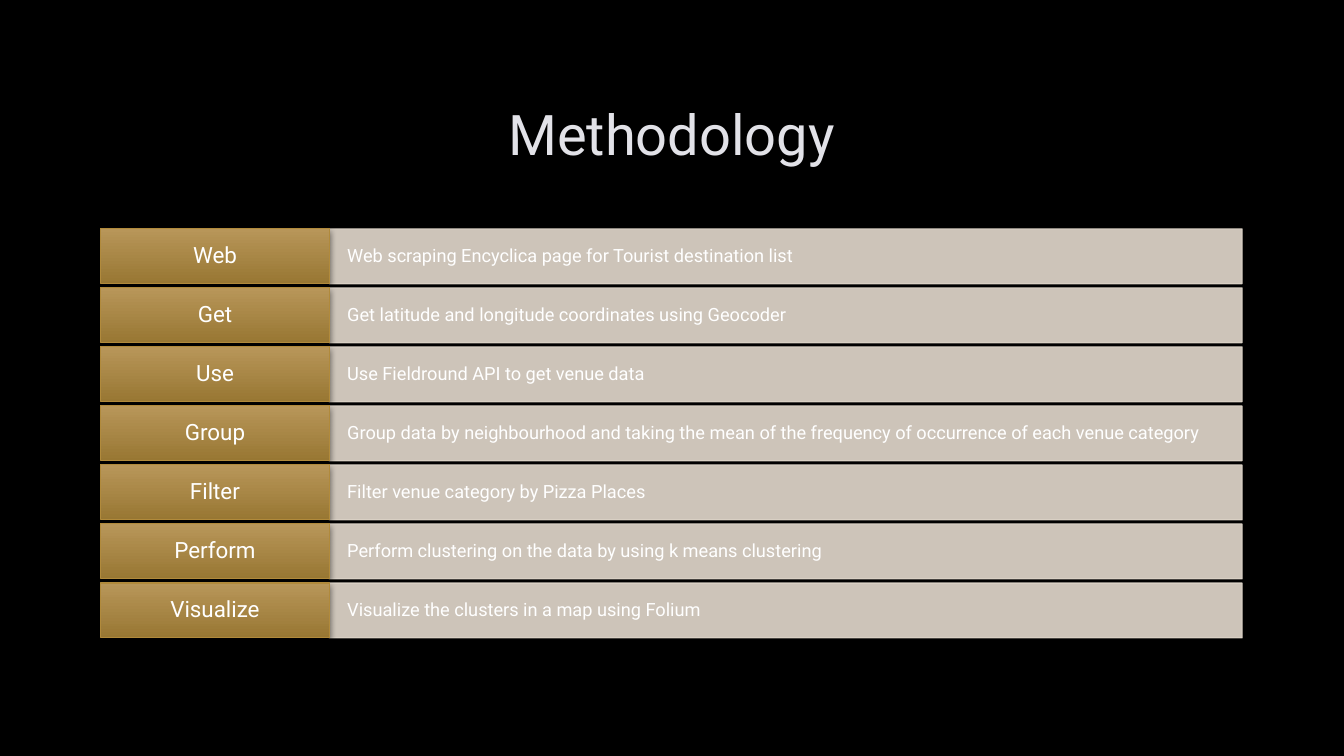
import pptx
import pptx.util
import pptx.oxml
import pptx.dml.color
import pptx.enum.shapes
import pptx.enum.text

Inches, Pt = pptx.util.Inches, pptx.util.Pt
RGB = pptx.dml.color.RGBColor
ALIGN = pptx.enum.text.PP_ALIGN
RECT = pptx.enum.shapes.MSO_SHAPE.RECTANGLE

BLACK = RGB(0x00, 0x00, 0x00)
WHITE = RGB(0xFF, 0xFF, 0xFF)
SILVER = RGB(0xE2, 0xE2, 0xE8)
GRAY = RGB(0x40, 0x40, 0x40)
SAND = RGB(0xE4, 0xDA, 0xCE)
GOLD = RGB(0xB8, 0x96, 0x59)
BRONZE = RGB(0x98, 0x77, 0x33)
EDGE = RGB(0xB1, 0x8A, 0x3B)

FONT = "Roboto"
CELL = Inches(1)
GAP = 0.04
SHARE = 0.2
NS = 'xmlns:a="http://schemas.openxmlformats.org/drawingml/2006/main"'

STEPS = [
    ("Web", "Web scraping Encyclica page for Tourist destination list"),
    ("Get", "Get latitude and longitude coordinates using Geocoder"),
    ("Use", "Use Fieldround API to get venue data"),
    ("Group", "Group data by neighbourhood and taking the mean of the frequency "
              "of occurrence of each venue category"),
    ("Filter", "Filter venue category by Pizza Places"),
    ("Perform", "Perform clustering on the data by using k means clustering"),
    ("Visualize", "Visualize the clusters in a map using Folium"),
]


def apply(item, style):
    for name, value in style.items():
        setattr(item, name, value)


def place(box):
    return [round(n * CELL) for n in box]


def tint(color, alpha):
    return (f'<a:srgbClr {NS} val="{color}">'
            f'<a:alpha val="{alpha * 1000}"/></a:srgbClr>')


def fade(node, alpha):
    for color in node.iter(pptx.oxml.ns.qn("a:srgbClr")):
        color.append(pptx.oxml.parse_xml(f'<a:alpha {NS} val="{alpha * 1000}"/>'))


def write(shape, text, size, color, align, pads):
    frame = shape.text_frame
    names = ("margin_left", "margin_top", "margin_right", "margin_bottom")
    apply(frame, dict(zip(names, map(Inches, pads * 2))))
    apply(frame, {"word_wrap": True,
                  "vertical_anchor": pptx.enum.text.MSO_ANCHOR.MIDDLE})
    para = frame.paragraphs[0]
    apply(para, {"alignment": align, "line_spacing": 0.9})
    run = para.add_run()
    run.text = text
    apply(run.font, {"name": FONT, "size": Pt(size)})
    run.font.color.rgb = color
    return run


def add_rect(shapes, box, edge):
    shape = shapes.add_shape(RECT, *place(box))
    shape.shadow.inherit = False
    shape.line.color.rgb = edge
    shape.line.width = Pt(0.75)
    return shape


def add_bar(shapes, box, text):
    bar = add_rect(shapes, box, SAND)
    bar.fill.solid()
    bar.fill.fore_color.rgb = SAND
    fade(bar.element.spPr, 90)
    write(bar, text, 13, WHITE, ALIGN.LEFT, (0.18, 0.14))


def add_label(shapes, box, text):
    label = add_rect(shapes, box, EDGE)
    label.fill.gradient()
    label.fill.gradient_angle = 270
    for stop, color in zip(label.fill.gradient_stops, (GOLD, BRONZE)):
        stop.color.rgb = color
    effects = label.element.spPr.find(pptx.oxml.ns.qn("a:effectLst"))
    effects.append(pptx.oxml.parse_xml(
        f'<a:outerShdw {NS} blurRad="{Pt(5)}" dist="{Pt(2)}" dir="5400000" '
        f'algn="ctr" rotWithShape="0">{tint(BLACK, 60)}</a:outerShdw>'))
    write(label, text, 16, WHITE, ALIGN.CENTER, (0.12, 0.05))


def add_steps(slide, box):
    left, top, width, height = box
    pitch = (height + GAP) / len(STEPS)
    split = width * SHARE
    shapes = slide.shapes.add_group_shape().shapes
    for row, (verb, text) in enumerate(STEPS):
        y, tall = top + row * pitch, pitch - GAP
        add_bar(shapes, (left + split, y, width - split, tall), text)
        add_label(shapes, (left, y, split, tall), verb)


def add_title(slide, box, text):
    title = slide.shapes.title
    names = ("left", "top", "width", "height")
    apply(title, dict(zip(names, place(box))))
    run = write(title, text, 40, SILVER, ALIGN.CENTER, (0.1, 0.05))
    run.font.fill
    run.font.element if hasattr(run.font, "element") else None
    run._r.get_or_add_rPr().insert(0, pptx.oxml.parse_xml(
        f'<a:ln {NS} w="{Pt(0.75)}"><a:solidFill>{tint(GRAY, 10)}'
        f'</a:solidFill></a:ln>'))


deck = pptx.Presentation()
apply(deck, {"slide_width": Inches(13.33), "slide_height": Inches(7.5)})
slide = deck.slides.add_slide(deck.slide_layouts[5])
slide.background.fill.solid()
slide.background.fill.fore_color.rgb = BLACK
add_title(slide, (1, 0.67, 11.32, 1.38), "Methodology")
add_steps(slide, (1, 2.27, 11.32, 4.06))
deck.save("out.pptx")
